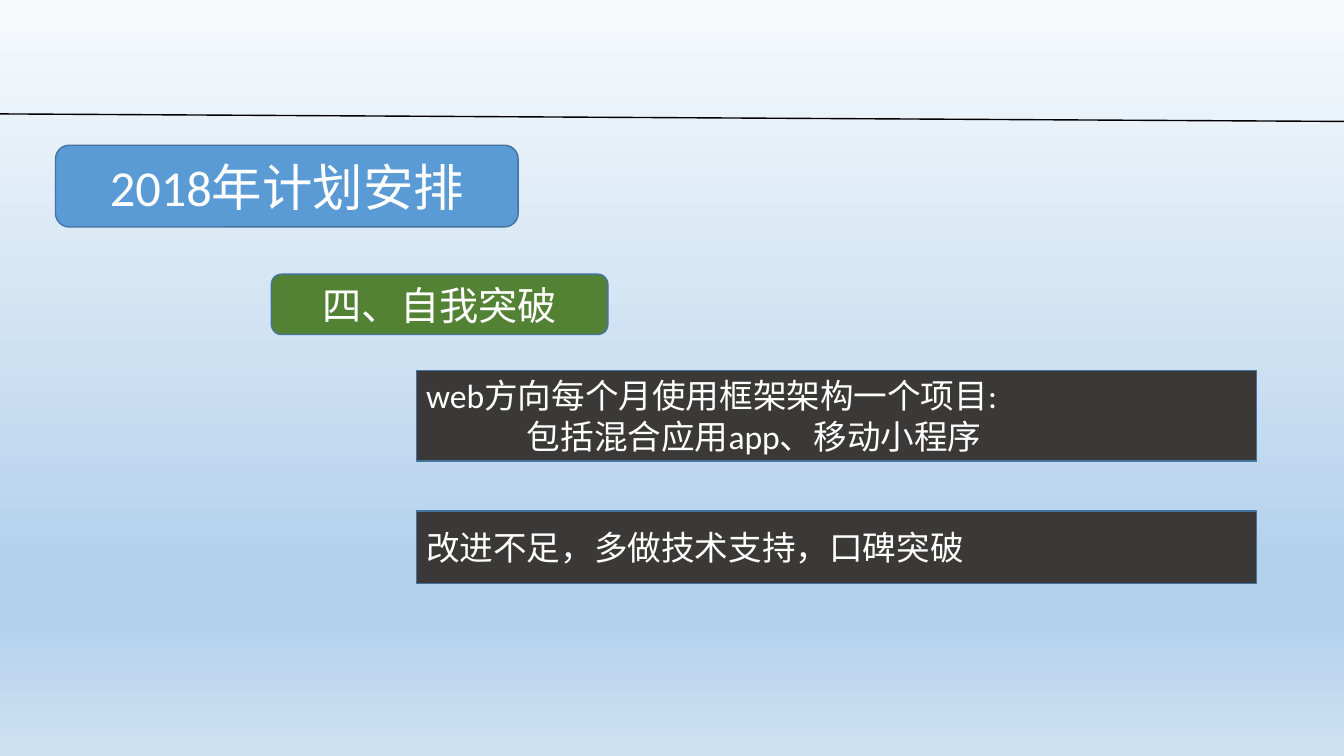
from dataclasses import dataclass

from lxml import etree
from pptx import Presentation
from pptx.dml.color import RGBColor
from pptx.enum.shapes import MSO_CONNECTOR as Connector, MSO_SHAPE as Shape
from pptx.enum.text import MSO_ANCHOR as Anchor, PP_ALIGN as Align
from pptx.oxml.ns import qn
from pptx.util import Cm, Pt

WIDTH, HEIGHT = 33.87, 19.05
FONT = "Calibri"
WHITE, BLACK, BLUE, GREEN, CHARCOAL = "FFFFFF", "000000", "5B9BD5", "548235", "3B3838"
OUTLINE = "43739E"
SKY = [(0, "F7FAFD"), (74, "B5D2EC"), (83, "B5D2EC"), (100, "CEE1F2")]


@dataclass
class Box:
    left: float
    top: float
    width: float
    height: float

    def inner(self, left, top, width, height):
        return Box(self.left + left, self.top + top, width, height)

    def lengths(self):
        return [Cm(n) for n in (self.left, self.top, self.width, self.height)]


def color(value):
    return RGBColor.from_string(value)


def paint_background(page, stops):
    fill = page.background.fill
    fill.gradient()
    fill.gradient_angle = 270
    stop_list = page.element.find(".//" + qn("a:gsLst"))
    for stop in list(stop_list):
        stop_list.remove(stop)
    for percent, value in stops:
        stop = etree.SubElement(stop_list, qn("a:gs"), pos=str(percent * 1000))
        etree.SubElement(stop, qn("a:srgbClr"), val=value)


def add_panel(page, box, kind, text, size, fill, align):
    panel = page.shapes.add_shape(kind, *box.lengths())
    panel.shadow.inherit = False
    panel.fill.solid()
    panel.fill.fore_color.rgb = color(fill)
    panel.line.color.rgb = color(OUTLINE)
    panel.line.width = Pt(1)
    frame = panel.text_frame
    frame.word_wrap = True
    frame.vertical_anchor = Anchor.MIDDLE
    para = frame.paragraphs[0]
    para.text = text
    para.alignment = align
    para.font.name = FONT
    para.font.size = Pt(size)
    para.font.color.rgb = color(WHITE)
    return panel


def set_tab_stop(panel, position):
    for properties in panel.element.iter(qn("a:pPr")):
        tabs = etree.Element(qn("a:tabLst"))
        etree.SubElement(tabs, qn("a:tab"), pos=str(Cm(position)), algn="l")
        properties.find(qn("a:defRPr")).addprevious(tabs)


def add_divider(page, box):
    left, top, width, height = box.lengths()
    divider = page.shapes.add_connector(
        Connector.STRAIGHT, left, top, left + width, top + height)
    divider.line.color.rgb = color(BLACK)
    divider.line.width = Pt(1)
    properties = divider.element.find(qn("p:spPr"))
    etree.SubElement(properties, qn("a:effectLst"))


def add_headings(page, box, title, section):
    add_panel(page, box.inner(0, 0, 11.66, 2.06), Shape.ROUNDED_RECTANGLE,
              title, 36, BLUE, Align.CENTER)
    add_panel(page, box.inner(5.44, 3.25, 8.48, 1.52), Shape.ROUNDED_RECTANGLE,
              section, 28, GREEN, Align.CENTER)


def add_goals(page, box, goals, gap):
    top = 0
    for text, height in goals:
        panel = add_panel(page, box.inner(0, top, box.width, height), Shape.RECTANGLE,
                          text, 24, CHARCOAL, Align.LEFT)
        set_tab_stop(panel, 2.54)
        top += height + gap


def build_plan_slide(deck):
    page = deck.slides.add_slide(deck.slide_layouts[6])
    paint_background(page, SKY)
    add_divider(page, Box(0, 2.87, WIDTH, 0.19))
    add_headings(page, Box(1.4, 3.66, 13.92, 4.77), "2018年计划安排", "四、自我突破")
    goals = [
        ("web方向每个月使用框架架构一个项目:\v\t包括混合应用app、移动小程序", 2.29),
        ("改进不足，多做技术支持，口碑突破", 1.83),
    ]
    add_goals(page, Box(10.49, 9.33, 21.18, 5.38), goals, gap=1.26)


deck = Presentation()
deck.slide_width, deck.slide_height = Cm(WIDTH), Cm(HEIGHT)
build_plan_slide(deck)
deck.save("out.pptx")
